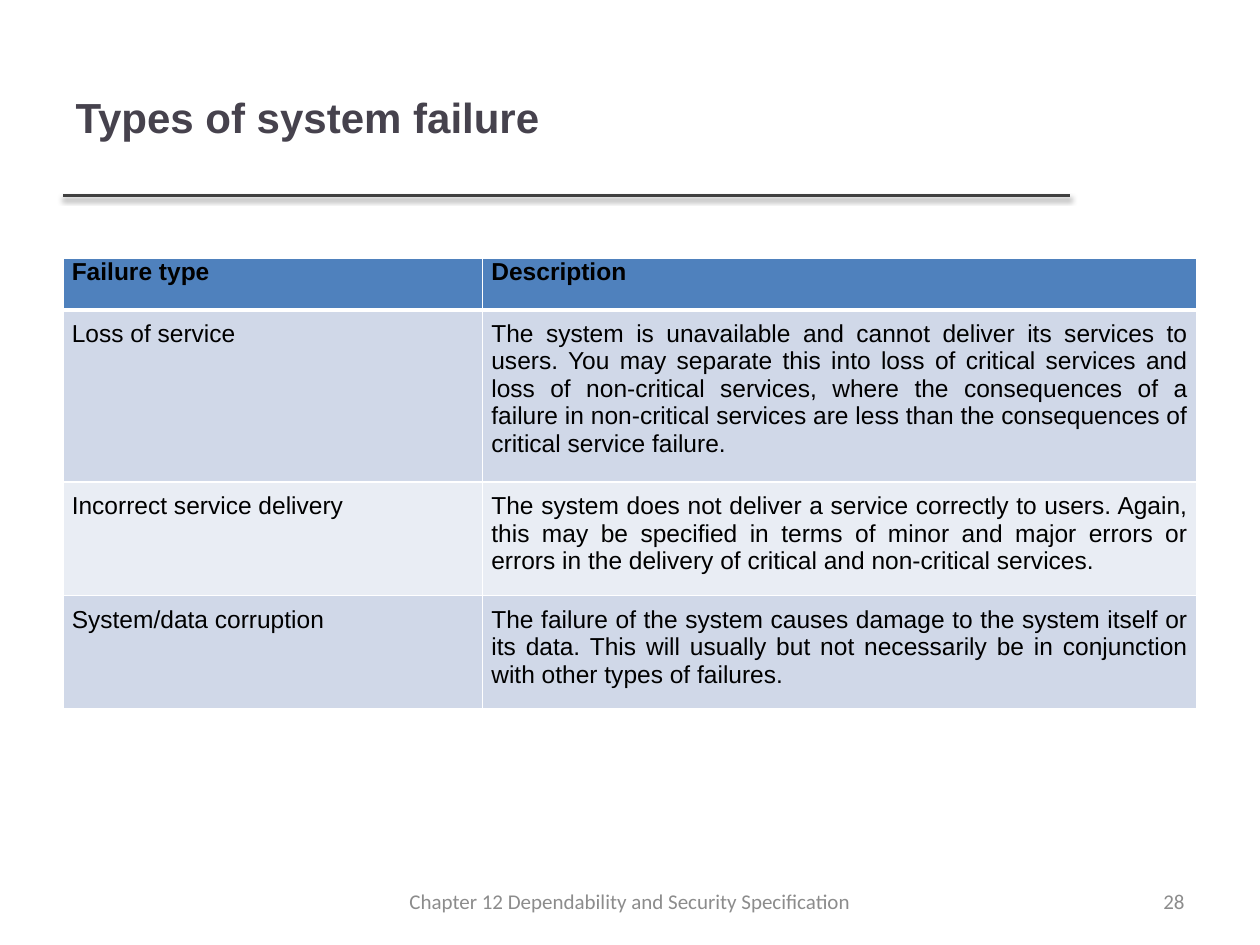
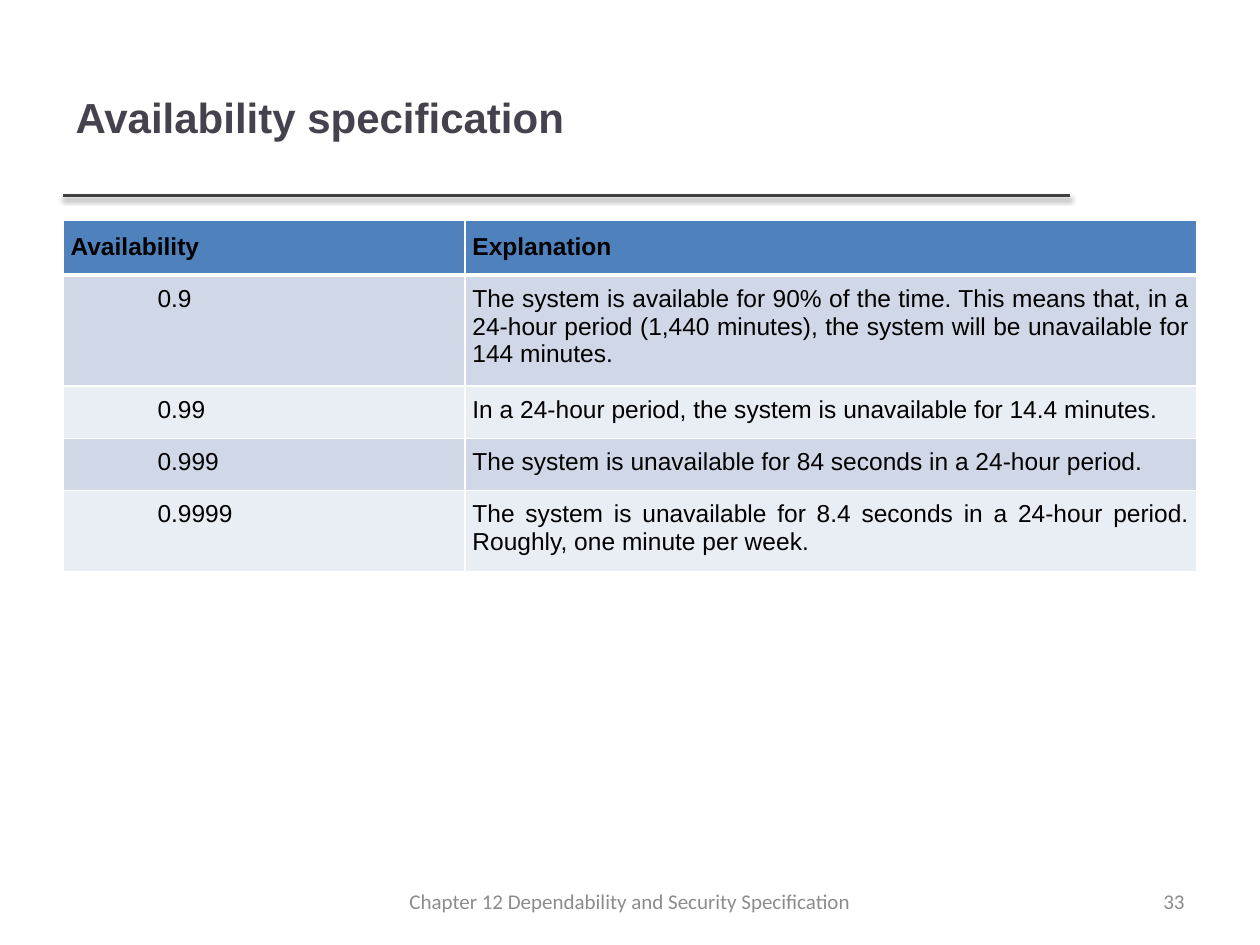
from dataclasses import dataclass

from lxml import etree
from pptx import Presentation
from pptx import util as u
from pptx.dml.color import RGBColor
from pptx.enum import text
from pptx.oxml import parse_xml
from pptx.oxml.ns import nsdecls, qn

COLUMNS, ROWS = 20, 30
LEFT = text.PP_ALIGN.LEFT
CENTER = text.PP_ALIGN.CENTER
RIGHT = text.PP_ALIGN.RIGHT
JUSTIFY = text.PP_ALIGN.JUSTIFY
MIDDLE = text.MSO_ANCHOR.MIDDLE


@dataclass(frozen=True)
class Theme:
    heading_font: str = "Arial"
    footer_font: str = "Calibri"
    title_size: int = 24
    table_size: int = 14
    footer_size: int = 12
    title_color: str = "46424D"
    rule_color: str = "404040"
    footer_color: str = "8C8C8C"
    table_text: str = "000000"
    header_fill: str = "4F81BD"
    band_fills: tuple = ("D0D8E8", "E9EDF4")
    border: str = "FFFFFF"


def write(frame, words, font, size, color, bold=False, align=LEFT, indent=0):
    """Fill a text frame with one formatted paragraph; indent is in inches."""
    frame.word_wrap = True
    paragraph = frame.paragraphs[0]
    paragraph.alignment = align
    if indent:
        paragraph._p.get_or_add_pPr().set("indent", str(u.Inches(indent)))
    run = paragraph.add_run()
    run.text = words
    run.font.name = font
    run.font.size = u.Pt(size)
    run.font.bold = bold
    run.font.color.rgb = RGBColor.from_string(color)


class Deck:
    def __init__(self, theme):
        self.theme = theme
        self.presentation = Presentation()
        self.presentation.slide_width = u.Inches(10)
        self.presentation.slide_height = u.Inches(7.5)
        self.slide = None

    def across(self, columns):
        return round(self.presentation.slide_width * columns / COLUMNS)

    def down(self, rows):
        return round(self.presentation.slide_height * rows / ROWS)

    def box(self, column, row, width, height):
        return (self.across(column), self.down(row),
                self.across(width), self.down(height))

    def add_slide(self, title, number):
        """Start a slide with the shared rule, title and footer."""
        self.slide = self.presentation.slides.add_slide(
            self.presentation.slide_layouts[5])
        self.title(title)
        self.rule(1, 16.98, 6.2)
        self.footer("Chapter 12 Dependability and Security Specification",
                    5.66, 8.68, CENTER)
        self.footer(str(number), 14.34, 4.66, RIGHT)

    def title(self, words):
        theme, shape = self.theme, self.slide.shapes.title
        shape.left, shape.top, shape.width, shape.height = self.box(1, 1.2, 15.96, 5)
        shape.text_frame.vertical_anchor = MIDDLE
        write(shape.text_frame, words, theme.heading_font, theme.title_size,
              theme.title_color, bold=True)

    def rule(self, start, end, row):
        y = self.down(row)
        line = self.slide.shapes.add_connector(
            1, self.across(start), y, self.across(end), y)
        line.line.color.rgb = RGBColor.from_string(self.theme.rule_color)
        line.line.width = u.Pt(2)
        line._element.spPr.append(parse_xml(
            f'<a:effectLst {nsdecls("a")}>'
            '<a:outerShdw blurRad="40000" dist="20000" dir="5400000" rotWithShape="0">'
            '<a:srgbClr val="000000"><a:alpha val="38000"/></a:srgbClr>'
            '</a:outerShdw></a:effectLst>'))

    def footer(self, words, column, width, align):
        theme = self.theme
        shape = self.slide.shapes.add_textbox(*self.box(column, 27.8, width, 1.6))
        shape.text_frame.vertical_anchor = MIDDLE
        write(shape.text_frame, words, theme.footer_font, theme.footer_size,
              theme.footer_color, align=align)

    def border(self, cell, side, points):
        line = etree.SubElement(cell._tc.get_or_add_tcPr(), qn(f"a:{side}"),
                                w=str(u.Pt(points)))
        fill = etree.SubElement(line, qn("a:solidFill"))
        etree.SubElement(fill, qn("a:srgbClr"), val=self.theme.border)

    def table(self, row, widths, heights, records, side_inset, header_insets,
              body_insets, header_align=JUSTIFY, first_align=JUSTIFY, first_indent=0):
        """Draw a header and banded records; widths, heights and insets are in inches."""
        theme = self.theme
        table = self.slide.shapes.add_table(
            len(records), len(widths), *self.box(1, row, 18, 4 * sum(heights))).table
        table.horz_banding = False
        for column, width in zip(table.columns, widths):
            column.width = u.Inches(width)
        for table_row, height in zip(table.rows, heights):
            table_row.height = u.Inches(height)
        for r, record in enumerate(records):
            header = r == 0
            top, bottom = header_insets if header else body_insets
            color = theme.header_fill if header else theme.band_fills[(r - 1) % 2]
            for c, words in enumerate(record):
                cell = table.cell(r, c)
                cell.margin_left = cell.margin_right = u.Inches(side_inset)
                cell.margin_top, cell.margin_bottom = u.Inches(top), u.Inches(bottom)
                for side in ("lnL", "lnR", "lnT", "lnB"):
                    thick = (side == "lnB" and header) or (side == "lnT" and r == 1)
                    self.border(cell, side, 3 if thick else 1)
                cell.fill.solid()
                cell.fill.fore_color.rgb = RGBColor.from_string(color)
                align = JUSTIFY
                if c == 0:
                    align = header_align if header else first_align
                write(cell.text_frame, words, theme.heading_font, theme.table_size,
                      theme.table_text, bold=header, align=align,
                      indent=first_indent if c == 0 and not header else 0)


FAILURES = [
    ("Failure type", "Description"),
    ("Loss of service",
     "The system is unavailable and cannot deliver its services to users. You may "
     "separate this into loss of critical services and loss of non-critical services, "
     "where the consequences of a failure in non-critical services are less than the "
     "consequences of critical service failure."),
    ("Incorrect service delivery",
     "The system does not deliver a service correctly to users. Again, this may be "
     "specified in terms of minor and major errors or errors in the delivery of "
     "critical and non-critical services."),
    ("System/data corruption",
     "The failure of the system causes damage to the system itself or its data. This "
     "will usually but not necessarily be in conjunction with other types of failures."),
]

AVAILABILITY = [
    ("Availability", "Explanation"),
    ("0.9",
     "The system is available for 90% of the time. This means that, in a 24-hour period "
     "(1,440 minutes), the system will be unavailable for 144 minutes."),
    ("0.99", "In a 24-hour period, the system is unavailable for 14.4 minutes."),
    ("0.999", "The system is unavailable for 84 seconds in a 24-hour period."),
    ("0.9999",
     "The system is unavailable for 8.4 seconds in a 24-hour period. Roughly, one "
     "minute per week."),
]


def main():
    deck = Deck(Theme())

    deck.add_slide("Types of system failure", 28)
    deck.table(8.2, (3.33, 5.67), (0.41, 1.29, 0.85, 0.85), FAILURES,
               side_inset=0.07, header_insets=(0, 0), body_insets=(0.08, 0.12))

    deck.add_slide("Availability specification", 33)
    deck.table(7, (3.19, 5.81), (0.41, 0.84, 0.41, 0.41, 0.62), AVAILABILITY,
               side_inset=0.06, header_insets=(0.1, 0.1), body_insets=(0.08, 0.1),
               header_align=LEFT, first_align=LEFT, first_indent=0.69)

    deck.presentation.save("out.pptx")


if __name__ == "__main__":
    main()
